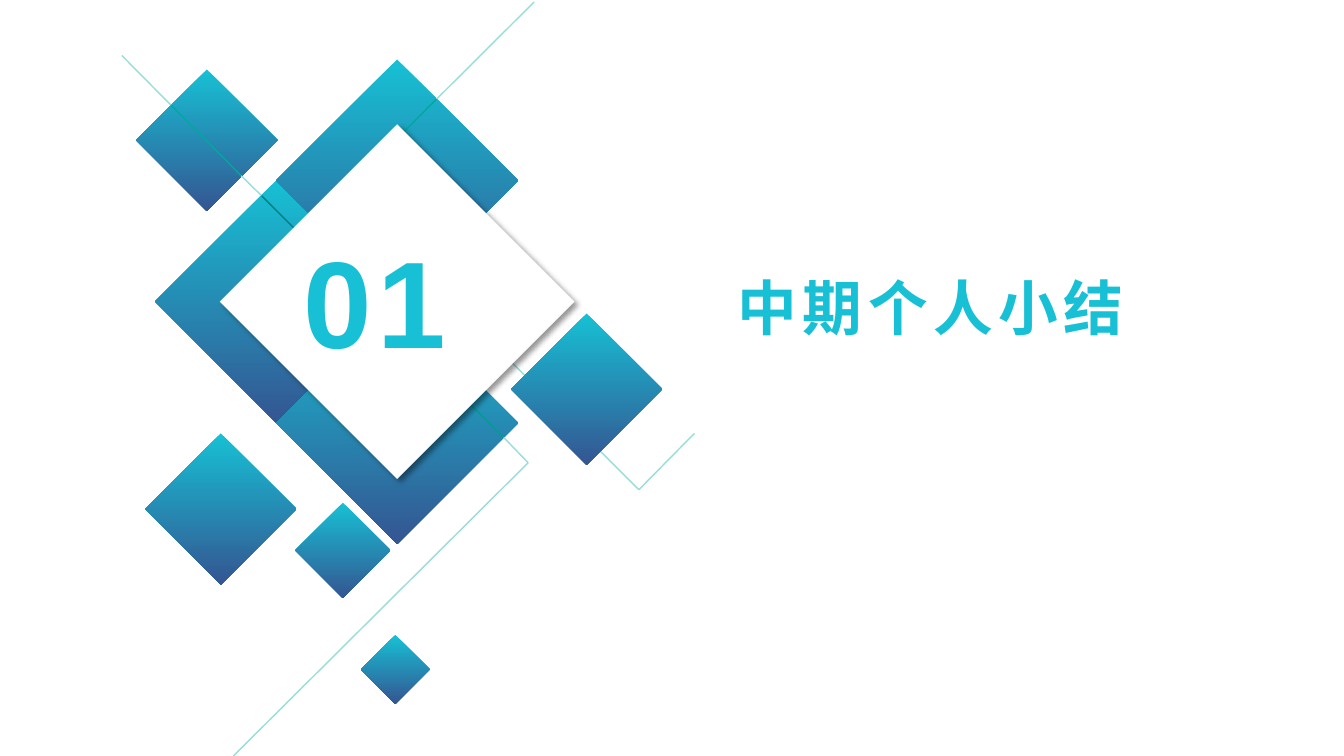
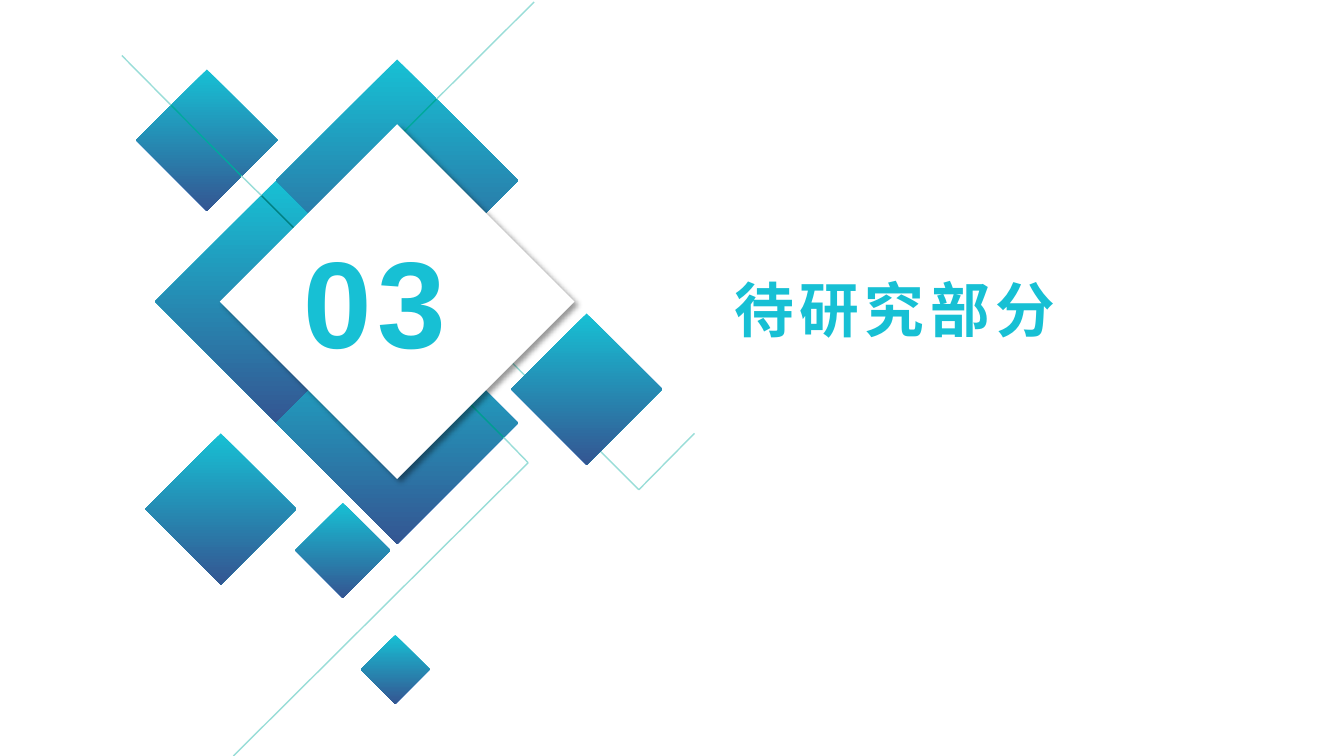
import itertools

import lxml.etree
import pptx
import pptx.dml.color
import pptx.enum.shapes
import pptx.enum.text
import pptx.oxml.ns
import pptx.util

Cm = pptx.util.Cm
Pt = pptx.util.Pt
RGB = pptx.dml.color.RGBColor.from_string
qn = pptx.oxml.ns.qn

THEME = {
    "blend": ("17C0D4", "345692"),
    "white": "FFFFFF",
    "pale": "99DDD8",
    "teal": "00A99D",
    "deep": "008082",
    "mid": "009D91",
    "shade": "000000",
    "line": Pt(1),
    "track": "400",
    "title": {"name": "Arial", "size": Pt(42.6), "bold": True},
    "count": {"name": "Arial", "size": Pt(88), "bold": True},
    "frame": {
        "word_wrap": True,
        "auto_size": pptx.enum.text.MSO_AUTO_SIZE.SHAPE_TO_FIT_TEXT,
        "vertical_anchor": pptx.enum.text.MSO_ANCHOR.TOP,
    },
}

BACK = [
    (3.91, 4.55, 6.1),
    (6.96, 1.5, 6.1),
    (3.43, 1.75, 3.57),
    (6.96, 7.61, 6.1),
    (7.44, 12.67, 2.4),
]
CARD = (5.54, 3.13, 8.94)
FRONT = [(12.88, 7.9, 3.81), (3.66, 10.92, 3.81), (9.09, 16, 1.74)]

TRAILS = [
    ("pale", [(10.69, 6.92), (16.1, 12.34), (17.5, 10.92)]),
    ("pale", [(13.46, 0.05), (11, 2.5)]),
    ("teal", [(11, 2.5), (8.64, 4.85), (10.69, 6.92)]),
    ("pale", [(12.69, 11.02), (13.31, 11.66), (5.88, 19.05)]),
    ("pale", [(3.07, 1.4), (4.31, 2.65)]),
    ("teal", [(4.31, 2.65), (6.08, 4.43)]),
    ("pale", [(6.08, 4.43), (6.59, 4.93)]),
    ("deep", [(6.59, 4.93), (9.64, 7.98)]),
    ("mid", [(9.64, 7.98), (12.69, 11.02)]),
]

SLIDES = [
    ("01", "中期个人小结", (18.34, 6.71)),
    ("03", "待研究部分", (18.26, 6.76)),
]


def apply(item, values):
    for key, value in values.items():
        setattr(item, key, value)


def blend(fill):
    fill.gradient()
    fill.gradient_angle = 270
    for stop, tone in zip(fill.gradient_stops, THEME["blend"]):
        stop.color.rgb = RGB(tone)


def write(shape, words, style):
    frame = shape.text_frame
    apply(frame, THEME["frame"])
    para = frame.paragraphs[0]
    para.alignment = pptx.enum.text.PP_ALIGN.LEFT
    run = para.add_run()
    run.text = words
    apply(run.font, style)
    blend(run.font.fill)
    run._r.get_or_add_rPr().set("spc", THEME["track"])


def gem(shapes, left, top, size):
    shape = shapes.add_shape(
        pptx.enum.shapes.MSO_SHAPE.DIAMOND, Cm(left), Cm(top), Cm(size), Cm(size)
    )
    shape.shadow.inherit = False
    shape.line.fill.background()
    blend(shape.fill)
    return shape


def card(shapes):
    shape = gem(shapes, *CARD)
    shape.fill.solid()
    shape.fill.fore_color.rgb = RGB(THEME["white"])
    glow = lxml.etree.SubElement(
        shape._element.spPr.find(qn("a:effectLst")),
        qn("a:outerShdw"),
        blurRad=str(Pt(4)),
        dist=str(Pt(3)),
        dir="2700000",
        algn="tl",
        rotWithShape="0",
    )
    tone = lxml.etree.SubElement(glow, qn("a:srgbClr"), val=THEME["shade"])
    lxml.etree.SubElement(tone, qn("a:alpha"), val="40000")


def trail(shapes, tone, points):
    for start, end in itertools.pairwise(points):
        line = shapes.add_connector(
            pptx.enum.shapes.MSO_CONNECTOR.STRAIGHT, *map(Cm, start + end)
        )
        line.line.width = THEME["line"]
        line.line.color.rgb = RGB(THEME[tone])
        lxml.etree.SubElement(line._element.spPr, qn("a:effectLst"))


def badge(slide, count):
    shapes = slide.shapes.add_group_shape().shapes
    for spot in BACK:
        gem(shapes, *spot)
    for tone, points in TRAILS:
        trail(shapes, tone, points)
    card(shapes)
    for spot in FRONT:
        gem(shapes, *spot)
    box = shapes.add_textbox(Cm(7.39), Cm(5.56), Cm(4.7), Cm(4.01))
    write(box, count, THEME["count"])


def head(slide, words, spot):
    title = slide.shapes.title
    left, top = map(Cm, spot)
    apply(title, {"left": left, "top": top, "width": Cm(15), "height": Cm(2.08)})
    write(title, words, THEME["title"])


def main():
    deck = pptx.Presentation()
    apply(deck, {"slide_width": Cm(33.87), "slide_height": Cm(19.05)})
    for count, words, spot in SLIDES:
        slide = deck.slides.add_slide(deck.slide_layouts[5])
        head(slide, words, spot)
        badge(slide, count)
    deck.save("out.pptx")


if __name__ == "__main__":
    main()
